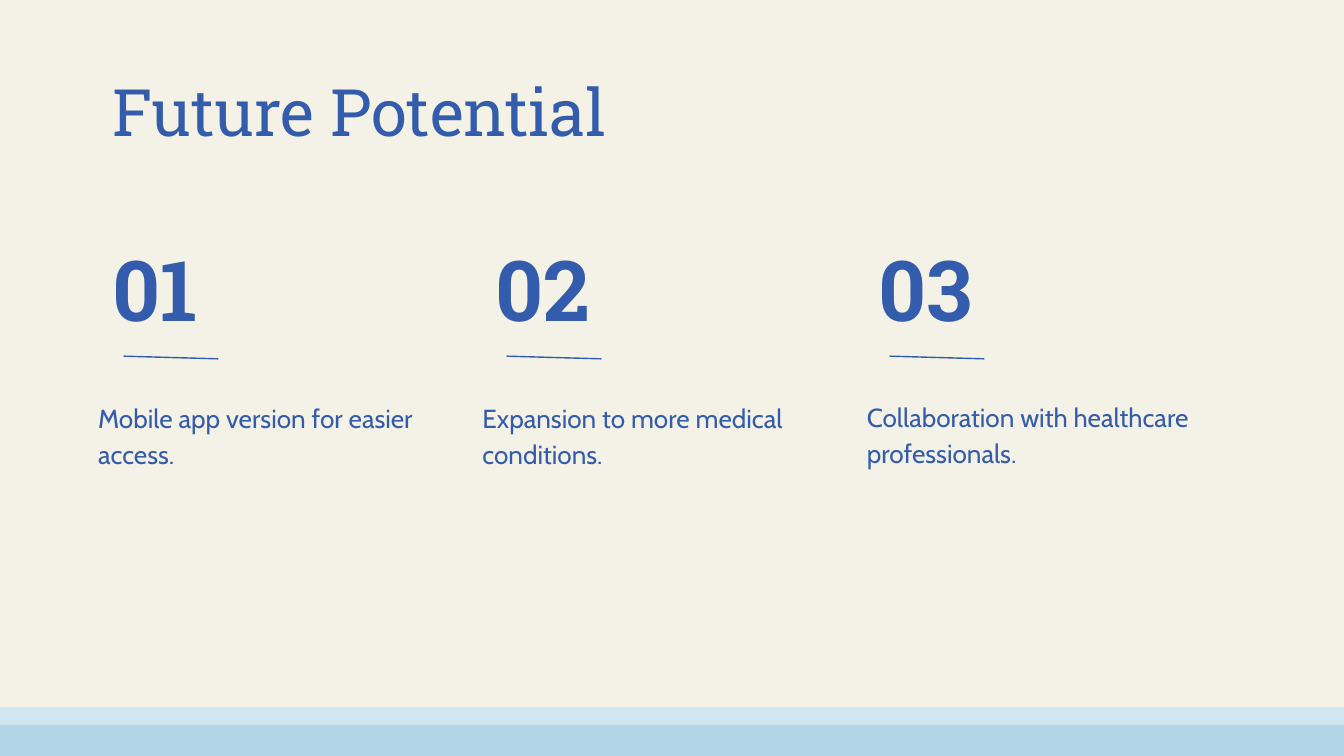
from lxml import etree
from pptx import Presentation
from pptx import util as u
from pptx.dml.color import RGBColor
from pptx.enum import shapes, text
from pptx.oxml.ns import qn

WIDE, HIGH = 20, 11.25
HUES = {"page": "F4F2E6", "ink": "345CAC", "pale": "D0E7EF", "deep": "B2D6E6"}
BANDS = [("deep", 10.78, 0.5), ("pale", 10.52, 0.26)]
TITLE = "Future Potential"
ITEMS = [
    ("01", "Mobile app version for easier access.", (5.92, 5.03, 1.04)),
    ("02", "Expansion to more medical conditions.", (5.92, 5.03, 1.04)),
    ("03", "Collaboration with healthcare professionals.", (5.91, 5.42, 1.58)),
]
STYLES = {
    "title": ("Roboto Slab", 70, 84, False),
    "number": ("Roboto Slab", 90, 108, True),
    "body": ("Cabin", 28, 38.6, False),
}


def hue(name):
    return RGBColor.from_string(HUES[name])


def add_band(slide, name, top, high):
    band = slide.shapes.add_shape(
        shapes.MSO_SHAPE.RECTANGLE, 0, u.Inches(top), u.Inches(WIDE), u.Inches(high)
    )
    band.shadow.inherit = False
    band.fill.solid()
    band.fill.fore_color.rgb = hue(name)
    band.line.fill.background()


def add_text(slide, words, style, *place):
    face, size, lead, bold = STYLES[style]
    frame = slide.shapes.add_textbox(*map(u.Inches, place)).text_frame
    frame.margin_left = frame.margin_right = frame.margin_top = frame.margin_bottom = 0
    frame.word_wrap = True
    frame.auto_size = text.MSO_AUTO_SIZE.SHAPE_TO_FIT_TEXT
    para = frame.paragraphs[0]
    para.line_spacing = u.Pt(lead)
    run = para.add_run()
    run.text = words
    run.font.name = face
    run.font.size = u.Pt(size)
    run.font.bold = bold
    run.font.color.rgb = hue("ink")


def add_rule(slide, left):
    ends = map(u.Inches, (left, 5.3, left + 1.41, 5.34))
    rule = slide.shapes.add_connector(shapes.MSO_CONNECTOR.STRAIGHT, *ends)
    rule.line.color.rgb = hue("ink")
    rule.line.width = u.Pt(1.5)
    etree.SubElement(rule._element.spPr, qn("a:effectLst"))


def main():
    deck = Presentation()
    deck.slide_width, deck.slide_height = u.Inches(WIDE), u.Inches(HIGH)
    slide = deck.slides.add_slide(deck.slide_layouts[6])
    slide.background.fill.solid()
    slide.background.fill.fore_color.rgb = hue("page")
    for band in BANDS:
        add_band(slide, *band)
    add_text(slide, TITLE, "title", 1.67, 1.06, 16.65, 1.17)
    for i, (number, body, (top, wide, high)) in enumerate(ITEMS):
        add_text(slide, body, "body", 1.46 + 5.72 * i, top, wide, high)
        add_text(slide, number, "number", 1.67 + 5.7 * i, 3.53, 1.77, 1.47)
        add_rule(slide, 1.84 + 5.7 * i)
    deck.save("out.pptx")


if __name__ == "__main__":
    main()
